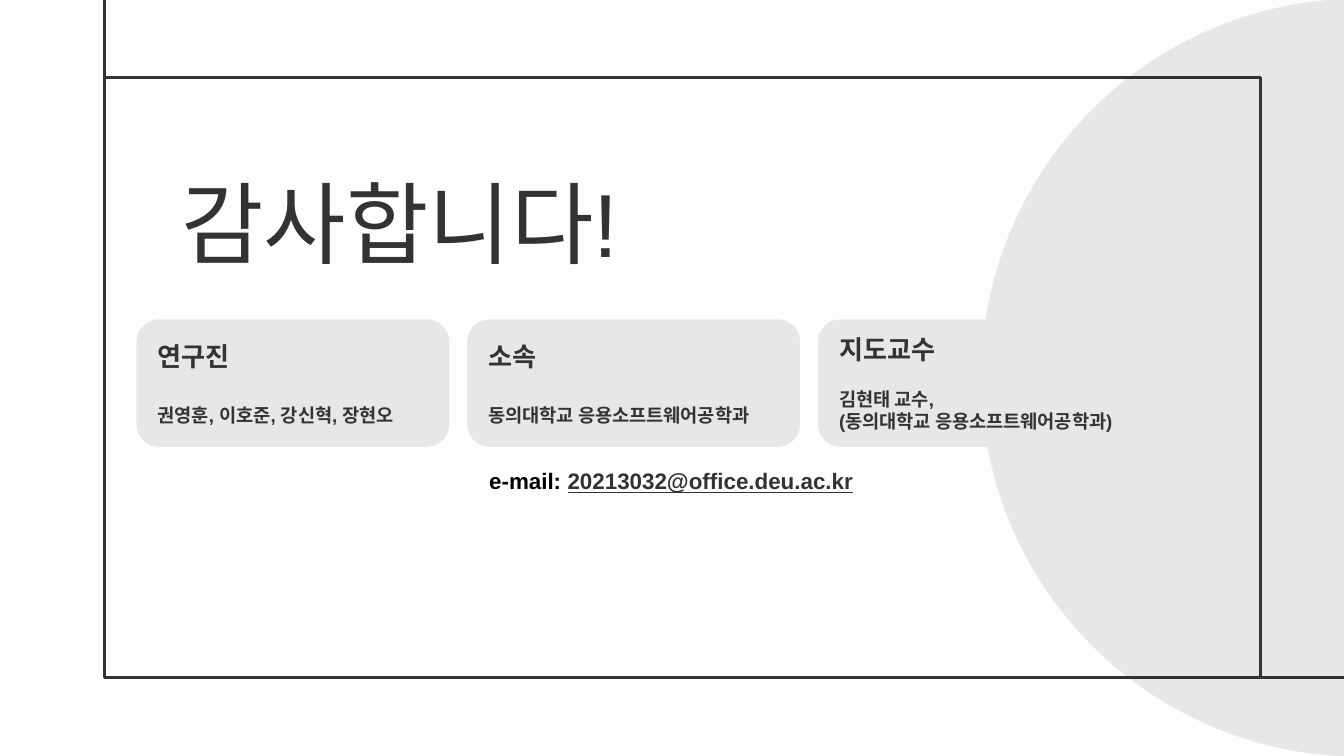
from pptx import Presentation
from pptx.dml.color import RGBColor
from pptx.enum.shapes import MSO_CONNECTOR, MSO_SHAPE
from pptx.enum.text import MSO_ANCHOR, PP_ALIGN
from pptx.oxml.ns import qn
from pptx.util import Inches, Pt
from lxml.etree import SubElement

PAPER = RGBColor(0xFD, 0xFD, 0xFD)
GREY = RGBColor(0xE8, 0xE7, 0xE7)
DARK = RGBColor(0x33, 0x33, 0x33)
BLACK = RGBColor(0, 0, 0)

SLIDE_WIDTH = 10
SLIDE_HEIGHT = SLIDE_WIDTH * 9 / 16
FRAME_LEFT, FRAME_TOP, FRAME_RIGHT, FRAME_BOTTOM = 0.78, 0.58, 9.38, 5.04
CARD_TOP, CARD_HEIGHT = 2.39, 0.92
CARDS = [
    (1.03, 2.3, "연구진", ["권영훈, 이호준, 강신혁, 장현오"], 17),
    (6.1, 3.15, "지도교수", ["김현태 교수,", "(동의대학교 응용소프트웨어공학과)"], 12),
    (3.49, 2.45, "소속", ["동의대학교 응용소프트웨어공학과"], 17),
]


def set_font(font, color=DARK, **values):
    """Apply the slide's typeface, a colour and any further font values."""
    for name, value in {"name": "Arial", **values}.items():
        setattr(font, name, value)
    font.color.rgb = color


def add_shape(slide, kind, left, top, width, height, fill=None, line=None, weight=1.5):
    """Add a flat preset shape with an optional fill and outline."""
    shape = slide.shapes.add_shape(
        kind, Inches(left), Inches(top), Inches(width), Inches(height))
    shape.shadow.inherit = False
    if fill is None:
        shape.fill.background()
    else:
        shape.fill.solid()
        shape.fill.fore_color.rgb = fill
    if line is None:
        shape.line.fill.background()
    else:
        shape.line.color.rgb = line
        shape.line.width = Pt(weight)
    return shape


def add_line(slide, start_x, start_y, end_x, end_y):
    """Add a dark straight line without a shadow."""
    line = slide.shapes.add_connector(
        MSO_CONNECTOR.STRAIGHT,
        Inches(start_x), Inches(start_y), Inches(end_x), Inches(end_y))
    line.line.color.rgb = DARK
    line.line.width = Pt(1.5)
    SubElement(line._element.spPr, qn("a:effectLst"))


def add_backdrop(slide):
    """Add the large circle and the frame with its two extended edges."""
    add_shape(slide, MSO_SHAPE.OVAL, 7.3, -0.01, 5.64, 5.64, fill=GREY)
    add_shape(slide, MSO_SHAPE.RECTANGLE, FRAME_LEFT, FRAME_TOP,
              FRAME_RIGHT - FRAME_LEFT, FRAME_BOTTOM - FRAME_TOP, line=DARK)
    add_line(slide, FRAME_LEFT, FRAME_TOP, FRAME_LEFT, 0)
    add_line(slide, FRAME_RIGHT, FRAME_BOTTOM, SLIDE_WIDTH, FRAME_BOTTOM)


def format_title(slide, text):
    """Place the title placeholder and set its large text."""
    title = slide.shapes.title
    for name, value in {"left": 1.25, "top": 1.15, "width": 4.15, "height": 0.97}.items():
        setattr(title, name, Inches(value))
    frame = title.text_frame
    for side in ("left", "top", "right", "bottom"):
        setattr(frame, f"margin_{side}", Inches(0.1))
    frame.text = text
    frame.word_wrap = True
    frame.vertical_anchor = MSO_ANCHOR.TOP
    frame.paragraphs[0].alignment = PP_ALIGN.LEFT
    set_font(frame.paragraphs[0].runs[0].font, size=Pt(48))


def add_card(slide, left, width, heading, details, gap):
    """Add a rounded card with a heading above its detail lines."""
    card = add_shape(slide, MSO_SHAPE.ROUNDED_RECTANGLE, left, CARD_TOP,
                     width, CARD_HEIGHT, fill=GREY, line=GREY, weight=2)
    frame = card.text_frame
    frame.word_wrap = True
    frame.vertical_anchor = MSO_ANCHOR.MIDDLE
    frame.text = "\n".join([heading, *details])
    for index, paragraph in enumerate(frame.paragraphs):
        paragraph.alignment = PP_ALIGN.LEFT
        size = 10 if index else 14
        set_font(paragraph.runs[0].font, size=Pt(size), bold=True)
    frame.paragraphs[0].space_after = Pt(gap)


def add_email(slide, label, address):
    """Add the centred contact line with an underlined address."""
    box = slide.shapes.add_textbox(Inches(1.76), Inches(3.43), Inches(6.47), Inches(0.3))
    box.text_frame.word_wrap = True
    paragraph = box.text_frame.paragraphs[0]
    paragraph.alignment = PP_ALIGN.CENTER
    for text, color, underline in [(label, BLACK, False), (address, DARK, True)]:
        run = paragraph.add_run()
        run.text = text
        set_font(run.font, color, size=Pt(12), bold=True, underline=underline)


def main():
    """Build the closing slide and save it."""
    presentation = Presentation()
    presentation.slide_width = Inches(SLIDE_WIDTH)
    presentation.slide_height = Inches(SLIDE_HEIGHT)
    slide = presentation.slides.add_slide(presentation.slide_layouts[5])
    slide.background.fill.solid()
    slide.background.fill.fore_color.rgb = PAPER
    add_backdrop(slide)
    format_title(slide, "감사합니다!")
    add_email(slide, "e-mail: ", "20213032@office.deu.ac.kr")
    for card in CARDS:
        add_card(slide, *card)
    presentation.save("out.pptx")


if __name__ == "__main__":
    main()
